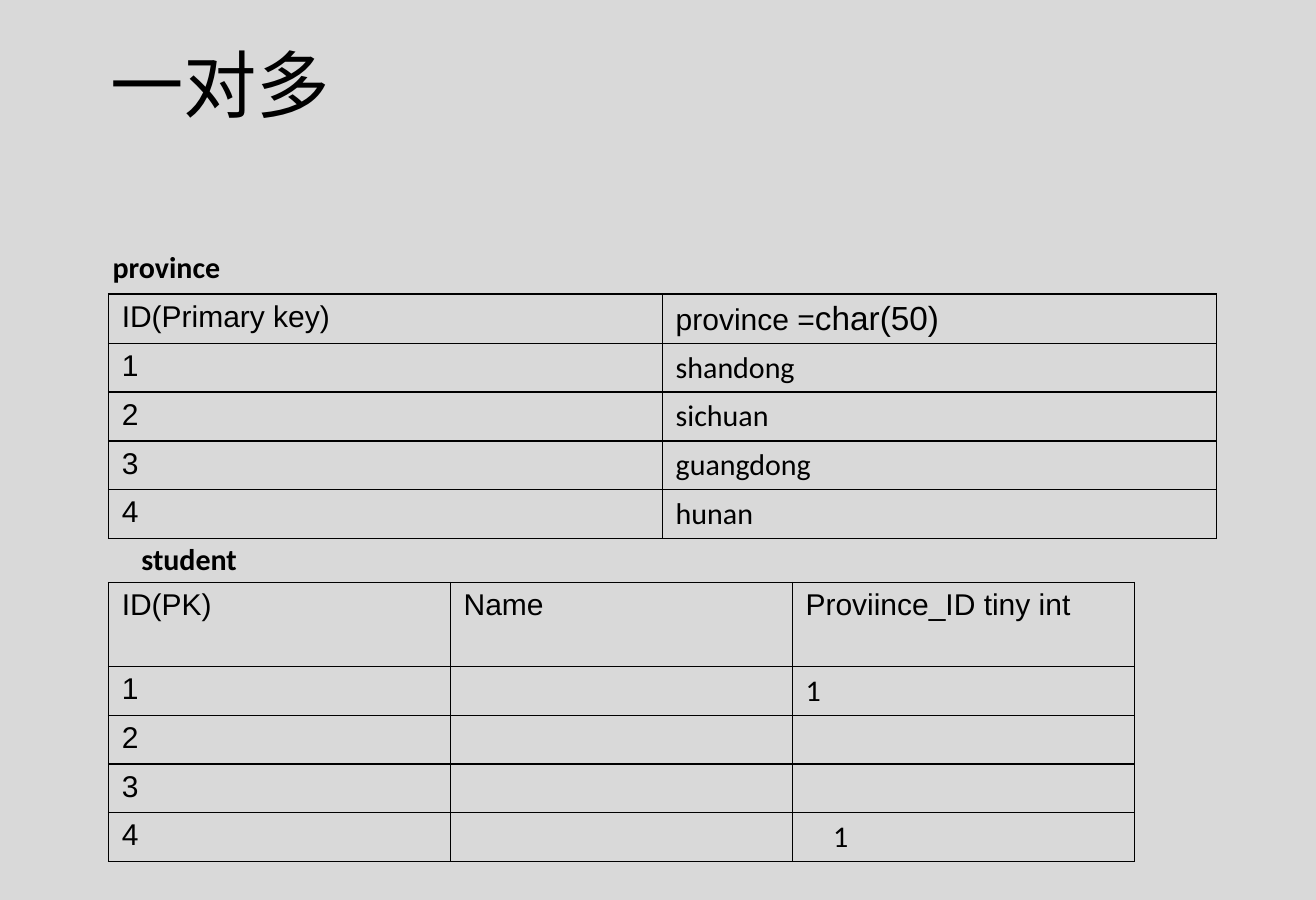
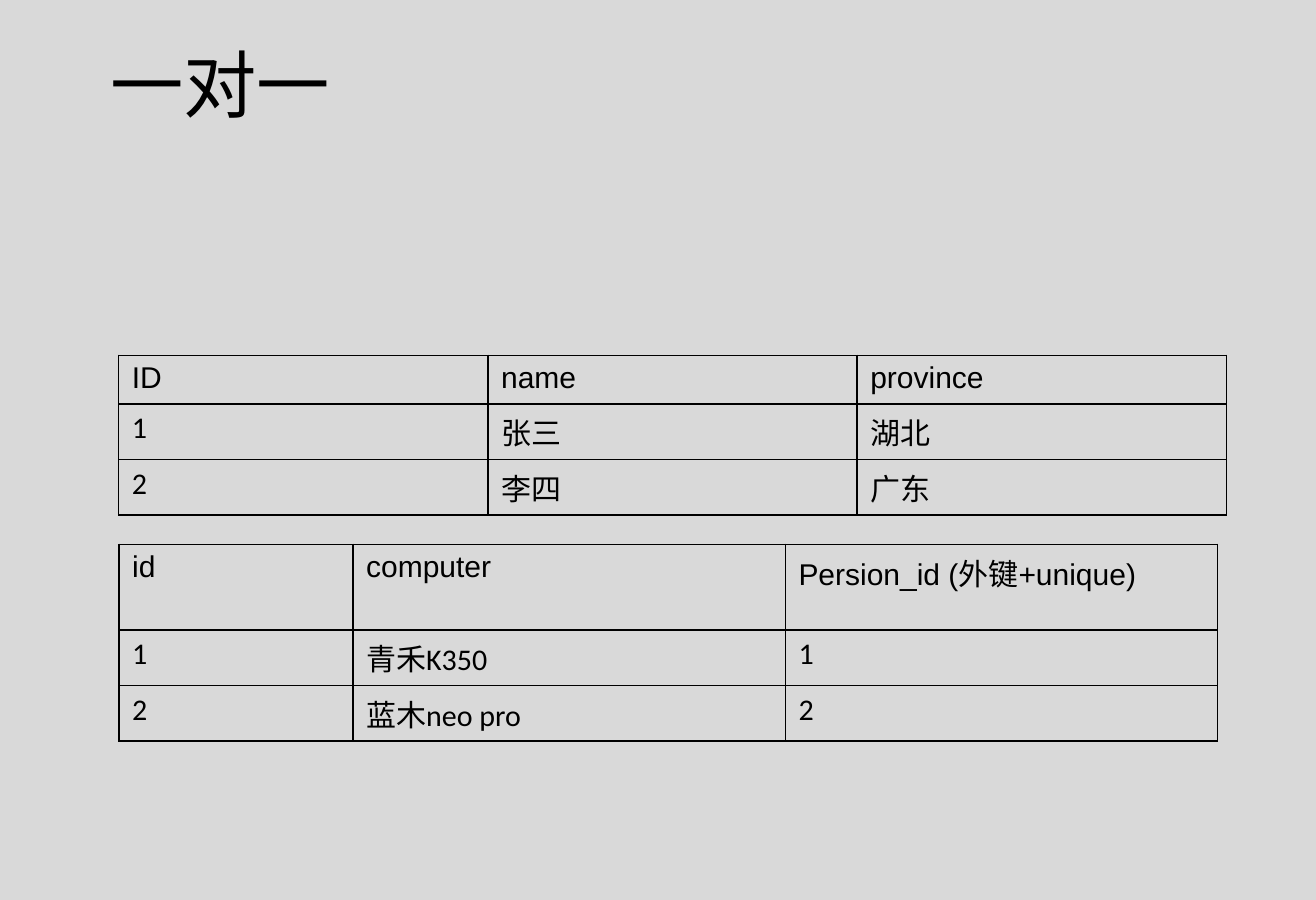
from lxml.etree import SubElement
from pptx import Presentation
from pptx.dml.color import RGBColor
from pptx.enum.text import MSO_ANCHOR, PP_ALIGN
from pptx.oxml.ns import qn
from pptx.util import Pt

COLORS = {"background": "D9D9D9", "ink": "000000"}
HEADER_FONT, BODY_FONT = "Arial", "Calibri"
TITLE_ONLY_LAYOUT = 5
CELL_MARGIN = (7.9, 3.6)

# A header cell may be a list of (text, size) pairs; id_font is the font of the first column.
SLIDES = [
    {
        "title": "一对多",
        "labels": [("province", 60.5, 145.5, 79), ("student", 77.8, 321, 72)],
        "tables": [
            {
                "left": 65.2, "top": 176.5, "columns": [332.5] * 2,
                "header_height": 29.2, "row_height": 29.25, "id_font": HEADER_FONT,
                "header": ["ID(Primary key)", [("province =", 18), ("char(50)", 20)]],
                "rows": [["1", "shandong"], ["2", "sichuan"],
                         ["3", "guangdong"], ["4", "hunan"]],
            },
            {
                "left": 65.2, "top": 349.5, "columns": [205.2] * 3,
                "header_height": 50.4, "row_height": 29.25, "id_font": HEADER_FONT,
                "header": ["ID(PK)", "Name", "Proviince_ID tiny int"],
                "rows": [["1", "", "1"], ["2", "", ""], ["3", "", ""], ["4", "", "1"]],
                "indents": {(4, 2): 16.5},
            },
        ],
    },
    {
        "title": "一对一",
        "labels": [],
        "tables": [
            {
                "left": 71.3, "top": 213.2, "columns": [221.6] * 3,
                "header_height": 29.2, "row_height": 29.25, "id_font": BODY_FONT,
                "header": ["ID", "name", "province"],
                "rows": [["1", "张三", "湖北"], ["2", "李四", "广东"]],
            },
            {
                "left": 71.5, "top": 326.6, "columns": [140.4, 259.5, 259.5],
                "header_height": 51.4, "row_height": 31, "id_font": BODY_FONT,
                "header": ["id", "computer", "Persion_id (外键+unique)"],
                "rows": [["1", "青禾K350", "1"], ["2", "蓝木neo pro", "2"]],
            },
        ],
    },
]


def write_text(text_frame, content, font=BODY_FONT, size=18, bold=False, line_spacing=None):
    """Write a string, or a list of (text, size) runs, as one left-aligned paragraph."""
    paragraph = text_frame.paragraphs[0]
    paragraph.alignment = PP_ALIGN.LEFT
    paragraph.line_spacing = line_spacing
    runs = [(content, size)] if isinstance(content, str) else content
    for text, run_size in runs:
        run = paragraph.add_run()
        run.text = text
        run.font.name = font
        run.font.size = Pt(run_size)
        run.font.bold = bold
        run.font.color.rgb = RGBColor.from_string(COLORS["ink"])


def add_borders(cell, width=1):
    properties = cell._tc.get_or_add_tcPr()
    for side in ("lnL", "lnR", "lnT", "lnB"):
        line = SubElement(properties, qn(f"a:{side}"), w=str(Pt(width)))
        fill = SubElement(line, qn("a:solidFill"))
        SubElement(fill, qn("a:srgbClr"), val=COLORS["ink"])


def add_label(slide, text, left, top, width):
    label = slide.shapes.add_textbox(Pt(left), Pt(top), Pt(width), Pt(29))
    label.text_frame.word_wrap = False
    write_text(label.text_frame, text, bold=True)


def add_data_table(slide, data):
    contents = [data["header"]] + data["rows"]
    heights = [data["header_height"]] + [data["row_height"]] * len(data["rows"])
    frame = slide.shapes.add_table(
        len(contents), len(data["columns"]), Pt(data["left"]), Pt(data["top"]),
        Pt(sum(data["columns"])), Pt(sum(heights)))
    table = frame.table
    table.first_row = table.horz_banding = False
    for column, width in zip(table.columns, data["columns"]):
        column.width = Pt(width)
    for row_index, (row, height) in enumerate(zip(contents, heights)):
        table.rows[row_index].height = Pt(height)
        for column_index, content in enumerate(row):
            cell = table.cell(row_index, column_index)
            indent = data.get("indents", {}).get((row_index, column_index), 0)
            cell.margin_left = Pt(CELL_MARGIN[0] + indent)
            cell.margin_right = Pt(CELL_MARGIN[0])
            cell.margin_top = cell.margin_bottom = Pt(CELL_MARGIN[1])
            add_borders(cell)
            cell.fill.background()
            if row_index == 0:
                font = HEADER_FONT
            else:
                font = data["id_font"] if column_index == 0 else BODY_FONT
            if content:
                write_text(cell.text_frame, content, font=font)


def prepare_layout(presentation):
    """Set the background and title place that all slides share."""
    fill = presentation.slide_master.background.fill
    fill.solid()
    fill.fore_color.rgb = RGBColor.from_string(COLORS["background"])
    layout = presentation.slide_layouts[TITLE_ONLY_LAYOUT]
    title = layout.placeholders[0]
    title.left, title.top, title.width, title.height = Pt(59), Pt(26), Pt(664.6), Pt(113)
    title.text_frame.vertical_anchor = MSO_ANCHOR.TOP
    return layout


def main():
    presentation = Presentation()
    presentation.slide_width, presentation.slide_height = Pt(789.84), Pt(540)
    layout = prepare_layout(presentation)
    for content in SLIDES:
        slide = presentation.slides.add_slide(layout)
        write_text(slide.shapes.title.text_frame, content["title"], size=44, line_spacing=0.9)
        for data in content["tables"]:
            add_data_table(slide, data)
        for label in content["labels"]:
            add_label(slide, *label)
    presentation.save("out.pptx")


if __name__ == "__main__":
    main()
